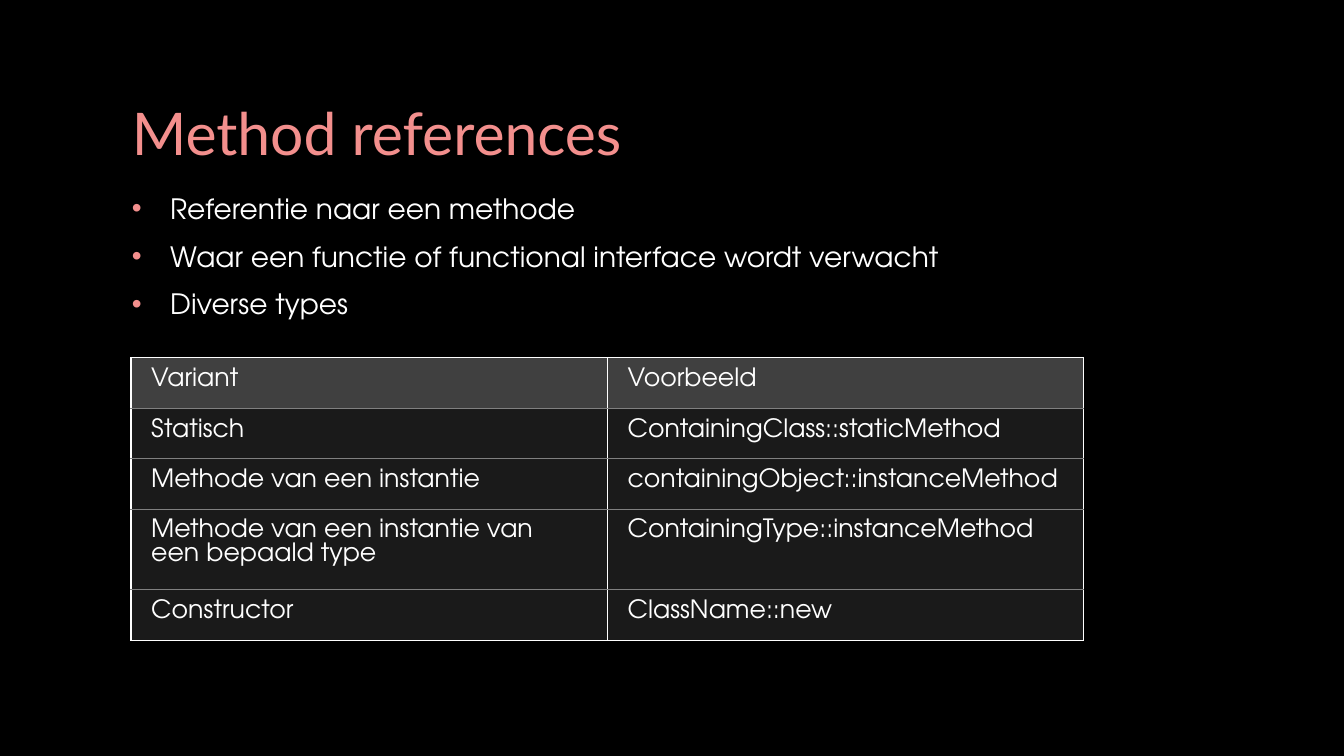
import pptx
import pptx.util
from pptx.dml.color import RGBColor
from pptx.oxml import parse_xml
from pptx.oxml.ns import nsdecls
from pptx.util import Inches, Pt

# Content
TITLE = "Method references"
BULLETS = [
    "Referentie naar een methode",
    "Waar een functie of functional interface wordt verwacht",
    "Diverse types",
]
ROWS = [
    ("Variant", "Voorbeeld"),
    ("Statisch", "ContainingClass::staticMethod"),
    ("Methode van een instantie", "containingObject::instanceMethod"),
    ("Methode van een instantie van een bepaald type", "ContainingType::instanceMethod"),
    ("Constructor", "ClassName::new"),
]

# Style
BLACK = RGBColor(0x00, 0x00, 0x00)
WHITE = RGBColor(0xFF, 0xFF, 0xFF)
PINK = RGBColor(0xF3, 0x8F, 0x8D)
GRAY = RGBColor(0x80, 0x80, 0x80)
HEAD_FONT, BODY_FONT = "Lato", "TeX Gyre Adventor"
HEADER_ALPHA, BODY_ALPHA = 25, 10
COL_W, ROW_H = 4.725, 0.466


def set_font(p, name, size, color):
    p.font.name, p.font.size = name, Pt(size)
    p.font.color.rgb = color


def add_text(s, left, top, width, height):
    tf = s.shapes.add_textbox(*map(Inches, (left, top, width, height))).text_frame
    tf.word_wrap = True
    return tf


def add_bullet(p):
    pPr = p._p.get_or_add_pPr()
    pPr.set("marL", str(Inches(0.38)))
    pPr.set("indent", str(-Inches(0.38)))
    for xml in (f'<a:buClr {nsdecls("a")}><a:srgbClr val="{PINK}"/></a:buClr>',
                f'<a:buFont {nsdecls("a")} typeface="Arial"/>',
                f'<a:buChar {nsdecls("a")} char="•"/>'):
        pPr.insert_element_before(parse_xml(xml), "a:tabLst", "a:defRPr", "a:extLst")


def style_cell(cell, alpha, edges):
    cell.margin_left = cell.margin_right = Inches(0.2)
    cell.margin_top = cell.margin_bottom = Inches(0.1)
    cell.fill.solid()
    cell.fill.fore_color.rgb = WHITE
    tcPr = cell._tc.get_or_add_tcPr()
    color = tcPr.find(".//" + pptx.oxml.ns.qn("a:srgbClr"))
    color.append(parse_xml(f'<a:alpha {nsdecls("a")} val="{alpha * 1000}"/>'))
    # Borders come before the fill
    for i, edge in enumerate(edges):
        tcPr.insert(i, parse_xml(
            f'<a:{edge} {nsdecls("a")} w="{Pt(1)}"><a:solidFill>'
            f'<a:srgbClr val="{GRAY}"/></a:solidFill></a:{edge}>'))


prs = pptx.Presentation()
prs.slide_width, prs.slide_height = Inches(13.33), Inches(7.5)
s = prs.slides.add_slide(prs.slide_layouts[6])
s.background.fill.solid()
s.background.fill.fore_color.rgb = BLACK

# Bullets
tf = add_text(s, 1.21, 1.85, 9.78, 1.5)
for i, text in enumerate(BULLETS):
    p = tf.add_paragraph() if i else tf.paragraphs[0]
    p.text = text
    p.space_before = Pt(10)
    set_font(p, BODY_FONT, 20, WHITE)
    add_bullet(p)

# Table of variants
table = s.shapes.add_table(len(ROWS), 2, Inches(1.3), Inches(3.55),
                           Inches(2 * COL_W), Inches(len(ROWS) * ROW_H)).table
table.horz_banding = False
for col in table.columns:
    col.width = Inches(COL_W)
for r, texts in enumerate(ROWS):
    table.rows[r].height = Inches(ROW_H)
    edges = (["lnT"] if r else []) + (["lnB"] if r < len(ROWS) - 1 else [])
    for c, text in enumerate(texts):
        cell = table.cell(r, c)
        cell.text = text
        p = cell.text_frame.paragraphs[0]
        set_font(p, BODY_FONT, 18, WHITE)
        style_cell(cell, BODY_ALPHA if r else HEADER_ALPHA, edges)

# Title
p = add_text(s, 1.21, 0.91, 10.28, 0.82).paragraphs[0]
p.text = TITLE
set_font(p, HEAD_FONT, 42, PINK)

prs.save("out.pptx")
